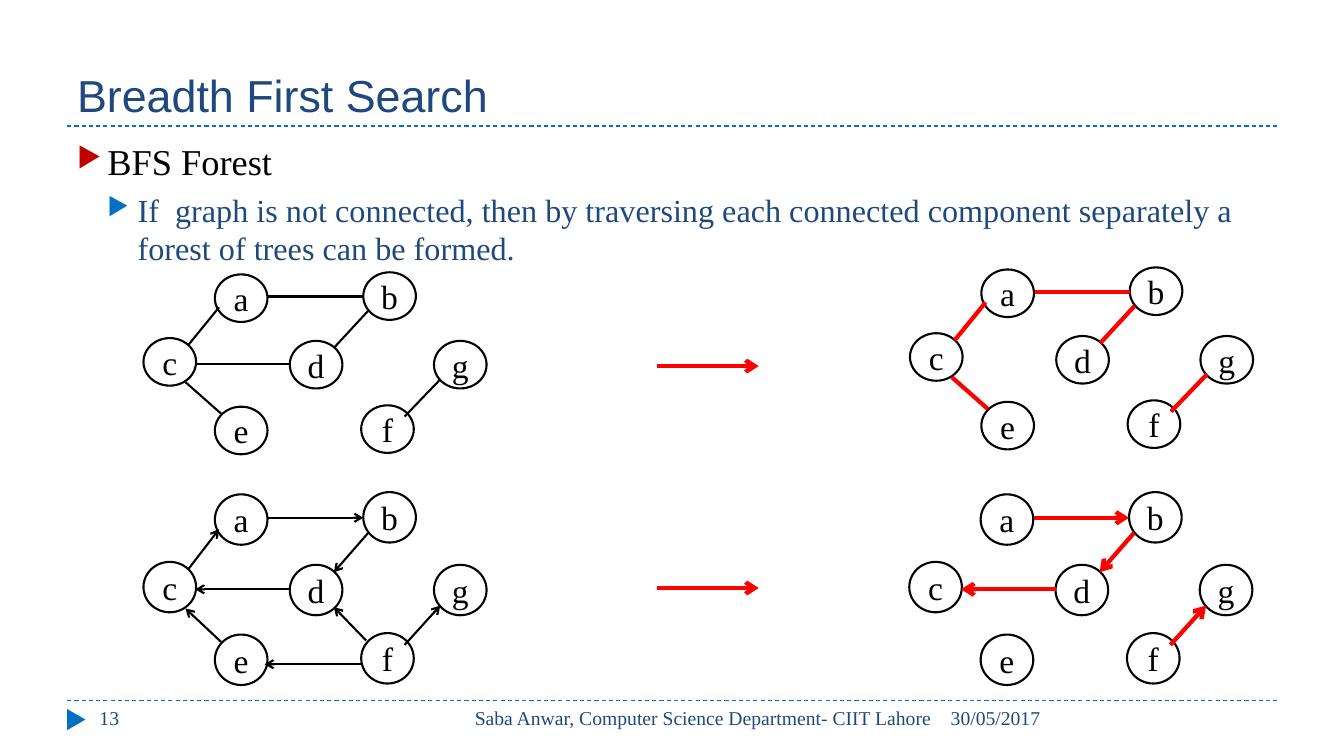
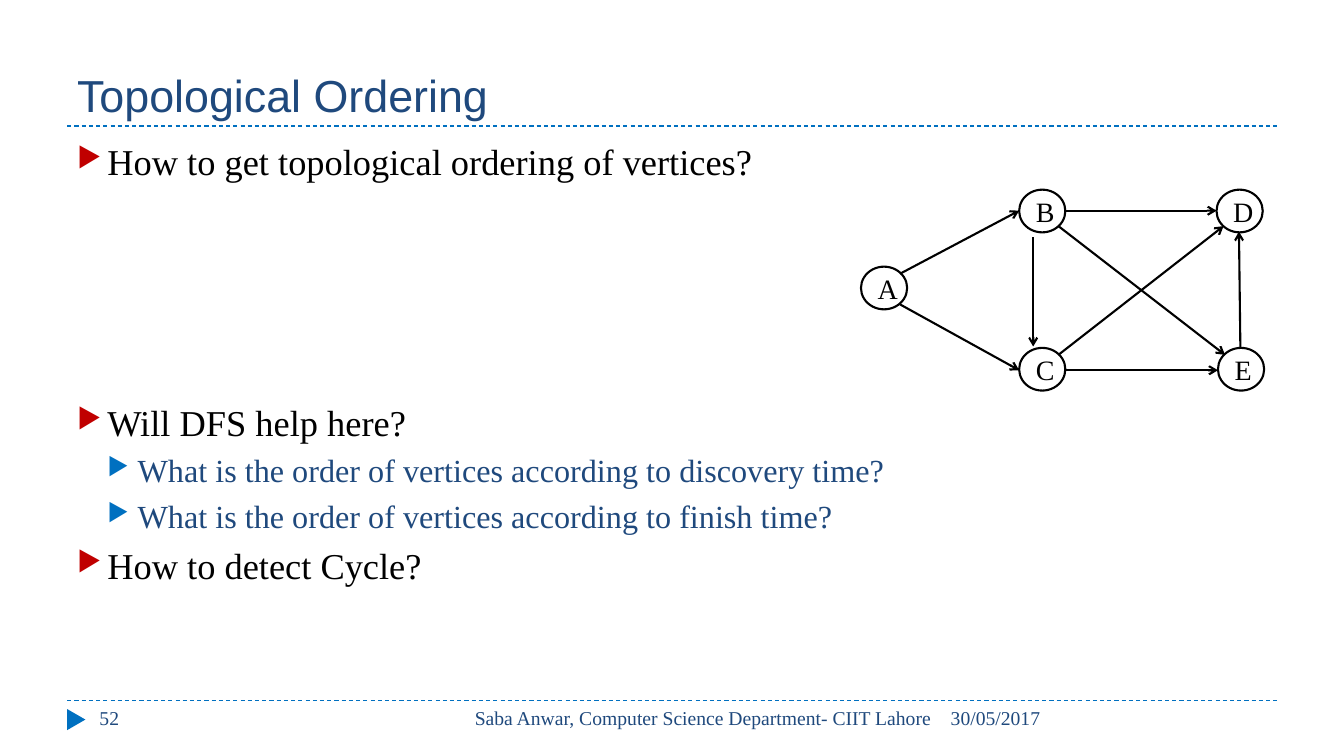
import pptx
import pptx.util
import pptx.dml.color
import pptx.enum.dml
import pptx.enum.shapes
import pptx.enum.text
import pptx.oxml.ns
import lxml.etree

Pt = pptx.util.Pt
RGB = pptx.dml.color.RGBColor
KIND = pptx.enum.shapes.MSO_SHAPE
ALIGN = pptx.enum.text.PP_ALIGN
ANCHOR = pptx.enum.text.MSO_ANCHOR
qn = pptx.oxml.ns.qn

NAVY = RGB(0x1F, 0x49, 0x7D)
BLUE = RGB(0x00, 0x70, 0xC0)
CRIMSON = RGB(0xC0, 0x00, 0x00)
RED = RGB(0xFF, 0x00, 0x00)
BLACK = RGB(0x00, 0x00, 0x00)
WHITE = RGB(0xFF, 0xFF, 0xFF)
SANS = "Arial"
SERIF = "Times New Roman"

AUTHOR = "Saba Anwar, Computer Science Department- CIIT Lahore"
DATE = "30/05/2017"
LEFT, WIDE = 48, 864
INDENT = 21.6
LEVELS = [(26, BLACK, CRIMSON, 6), (23, NAVY, BLUE, 5)]

SMALL = {
    "size": (37.6, 34), "font": 24, "wrap": False,
    "nodes": {"a": (51, 1.5), "b": (157, 0), "c": (0, 47), "d": (104.5, 49),
              "e": (51, 96), "f": (155.5, 95), "g": (207.5, 49)},
    "edges": {"ab": (89, 17.3, 157, 17.3), "bd": (160.5, 27.5, 136, 54),
              "dc": (104.5, 65.5, 37, 65.5), "ec": (56, 101.5, 30, 78.5),
              "fg": (186.5, 103, 212, 76.5), "ca": (32, 52, 54, 25),
              "fe": (157, 116, 86.5, 116), "fd": (159, 100, 136, 77.5)},
}
SMALL["edges"]["ec"] = (55.5, 101, 30, 78.5)
ORDER = {
    "size": (33, 30.5), "font": 20, "wrap": True,
    "nodes": {"A": (0, 55), "B": (113, 0), "C": (113, 113),
              "D": (254, 0), "E": (255, 113)},
    "edges": {"AB": (28, 60, 113, 15), "AC": (28, 82, 113, 129),
              "BC": (123, 34, 123, 112), "BD": (146, 15, 254, 15),
              "BE": (141, 26, 260, 118), "ED": (271, 113, 270, 30),
              "CE": (146, 129, 255, 129), "CD": (141, 118, 259, 26)},
}

SLIDES = [
    {
        "title": "Breadth First Search", "page": "13",
        "body": [
            (0, "BFS Forest", 0),
            (1, "If  graph is not connected, then by traversing each connected "
                "component separately a forest of trees can be formed.", 5),
        ],
        "graphs": [
            (SMALL, 102.5, 194.5, 1, "ab bd dc ec fg ca", BLACK, 1.5, False),
            (SMALL, 102.5, 351.5, 1.06, "ab bd dc ec fg ca fe fd", BLACK, 1.5, True),
            (SMALL, 649.5, 351.5, 1.06, "ab bd dc fg", RED, 3, True),
            (SMALL, 650, 191, 1, "ab bd ec fg ca", RED, 3, False),
        ],
        "arrows": [(469, 261.5, 542, 261.5), (469, 420, 542, 420)],
    },
    {
        "title": "Topological Ordering", "page": "52",
        "body": [
            (0, "How to get topological ordering of vertices?", 0),
            (0, "Will DFS help here?", 155),
            (1, "What is the order of vertices according to discovery time?", 5),
            (1, "What is the order of vertices according to finish time?", 5),
            (0, "How to detect Cycle?", 6),
        ],
        "graphs": [
            (ORDER, 615, 135.5, 1, "AB AC BC BD BE ED CE CD", BLACK, 1.5, True),
        ],
        "arrows": [],
    },
]


def write(para, text, size, color, face=SERIF):
    run = para.add_run()
    run.text = text
    run.font.size = Pt(size)
    run.font.name = face
    run.font.color.rgb = color


def frame(slide, x, y, w, h):
    text = slide.shapes.add_textbox(Pt(x), Pt(y), Pt(w), Pt(h)).text_frame
    text.word_wrap = True
    return text


def link(shapes, ends, color, width, arrow=False, dash=False):
    line = shapes.add_connector(
        pptx.enum.shapes.MSO_CONNECTOR.STRAIGHT, *[Pt(v) for v in ends])
    line.line.color.rgb = color
    line.line.width = Pt(width)
    if dash:
        line.line.dash_style = pptx.enum.dml.MSO_LINE.DASH
    props = line._element.spPr
    if arrow:
        lxml.etree.SubElement(props.find(qn("a:ln")), qn("a:tailEnd"), type="arrow")
    lxml.etree.SubElement(props, qn("a:effectLst"))


def bullet(para, level, color):
    props = para._p.get_or_add_pPr()
    props.set("marL", str(Pt(INDENT * (level + 1))))
    props.set("indent", str(-Pt(INDENT)))
    tint = lxml.etree.SubElement(props, qn("a:buClr"))
    lxml.etree.SubElement(tint, qn("a:srgbClr"), val=str(color))
    lxml.etree.SubElement(props, qn("a:buSzPct"), val="76000")
    lxml.etree.SubElement(props, qn("a:buChar"), char="▶")


def base(slide, title, page):
    for y in (500.5, 90):
        link(slide.shapes, (LEFT, y, LEFT + WIDE, y), BLUE, 0.75, dash=True)
    mark = slide.shapes.add_shape(
        KIND.ISOSCELES_TRIANGLE, Pt(47), Pt(507.5), Pt(15), Pt(13))
    mark.rotation = 90
    mark.shadow.inherit = False
    mark.fill.solid()
    mark.fill.fore_color.rgb = BLUE
    mark.line.fill.background()
    head = frame(slide, LEFT, 12, WIDE, 78)
    head.vertical_anchor = ANCHOR.BOTTOM
    write(head.paragraphs[0], title, 32, NAVY, SANS)
    foot = [(64, 208, page, ALIGN.LEFT), (304.5, 368, AUTHOR, ALIGN.RIGHT),
            (672, 240, DATE, ALIGN.LEFT)]
    for x, w, text, side in foot:
        para = frame(slide, x, 500.5, w, 29).paragraphs[0]
        para.alignment = side
        write(para, text, 14, NAVY)


def fill(slide, items):
    body = frame(slide, LEFT, 96, WIDE, 389)
    for i, (level, text, gap) in enumerate(items):
        para = body.add_paragraph() if i else body.paragraphs[0]
        size, color, tint, _ = LEVELS[level]
        para.level = level
        bullet(para, level, tint)
        para.space_before = Pt(gap)
        write(para, text, size, color)


def graph(slide, plan, x, y, scale, names, color, width, arrow):
    group = slide.shapes.add_group_shape().shapes
    w, h = plan["size"]
    for name, (dx, dy) in plan["nodes"].items():
        node = group.add_shape(
            KIND.OVAL, Pt(x + dx), Pt(y + dy * scale), Pt(w), Pt(h * scale))
        node.shadow.inherit = False
        node.fill.solid()
        node.fill.fore_color.rgb = WHITE
        node.line.color.rgb = BLACK
        node.line.width = Pt(1.5)
        text = node.text_frame
        text.word_wrap = plan["wrap"]
        text.vertical_anchor = ANCHOR.MIDDLE
        text.paragraphs[0].alignment = ALIGN.CENTER
        write(text.paragraphs[0], name, plan["font"], BLACK)
    for name in names.split():
        ax, ay, bx, by = plan["edges"][name]
        ends = (x + ax, y + ay * scale, x + bx, y + by * scale)
        link(group, ends, color, width, arrow)


def main():
    deck = pptx.Presentation()
    deck.slide_width, deck.slide_height = Pt(960), Pt(540)
    for page in SLIDES:
        slide = deck.slides.add_slide(deck.slide_layouts[6])
        base(slide, page["title"], page["page"])
        fill(slide, page["body"])
        for item in page["graphs"]:
            graph(slide, *item)
        for ends in page["arrows"]:
            link(slide.shapes, ends, RED, 3, True)
    deck.save("out.pptx")


if __name__ == "__main__":
    main()
